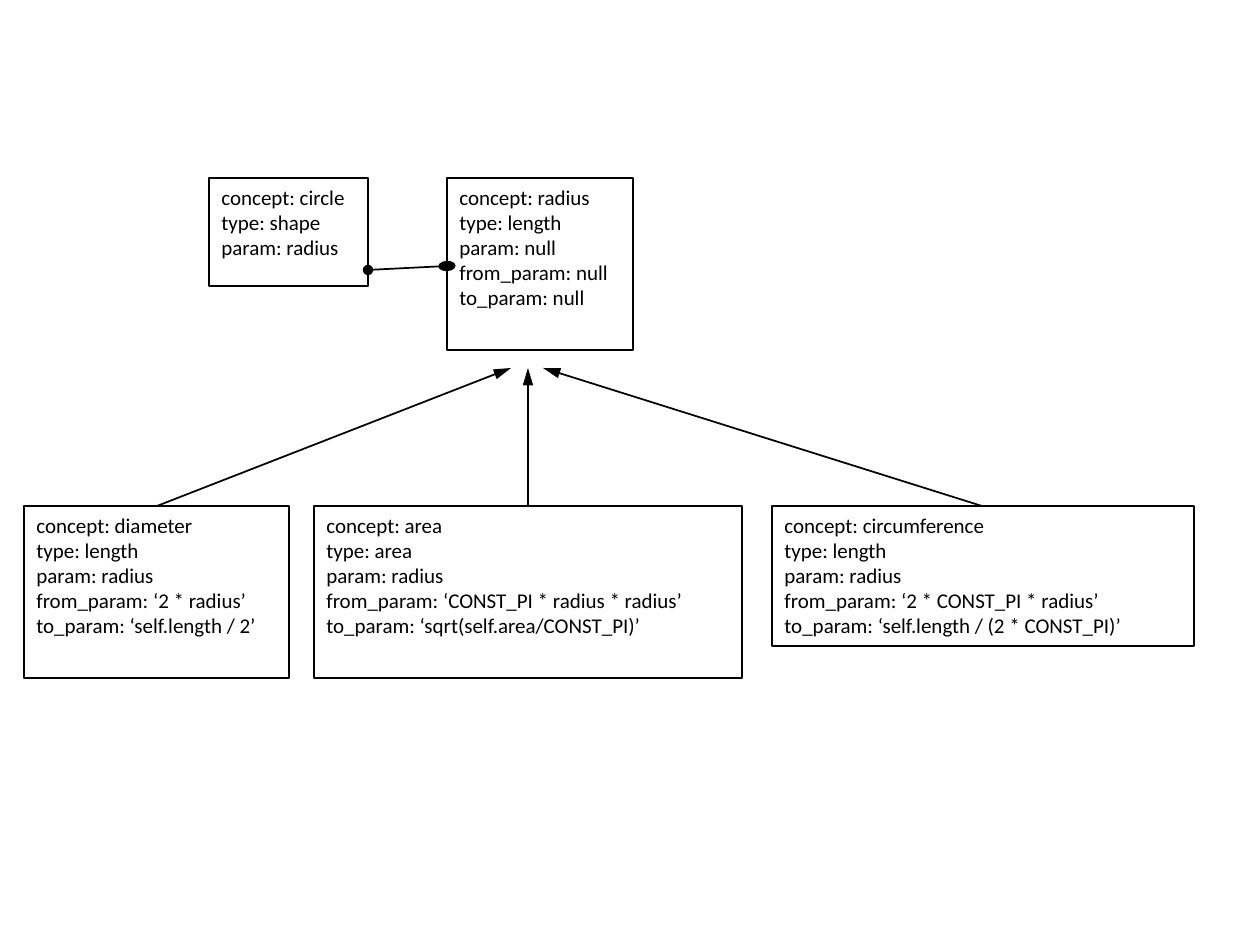
from lxml import etree
from pptx import Presentation
from pptx.dml.color import RGBColor
from pptx.enum.shapes import MSO_CONNECTOR, MSO_SHAPE
from pptx.enum.text import MSO_ANCHOR, PP_ALIGN
from pptx.oxml.ns import qn
from pptx.util import Emu, Inches, Pt

RECTANGLE = MSO_SHAPE.RECTANGLE
STRAIGHT = MSO_CONNECTOR.STRAIGHT
TOP = MSO_ANCHOR.TOP
LEFT = PP_ALIGN.LEFT

BLACK = RGBColor(0, 0, 0)
FONT = "Calibri"
EMU_PER_PX = 914400 / 126
FIELDS = ("concept", "type", "param", "from_param", "to_param")

# Each concept: left offset, width, height, field values
DERIVED_CONCEPTS = [
    (0, 265, 172, ("diameter", "length", "radius",
                   "‘2 * radius’", "‘self.length / 2’")),
    (290, 428, 172, ("area", "area", "radius",
                     "‘CONST_PI * radius * radius’",
                     "‘sqrt(self.area/CONST_PI)’")),
    (748, 422, 140, ("circumference", "length", "radius",
                     "‘2 * CONST_PI * radius’",
                     "‘self.length / (2 * CONST_PI)’")),
]
# Each arrow: start offset along the derived row, tip offset
ARROWS = [(133, 487), (504, 504), (958, 519)]


def px(length):
    return Emu(round(length * EMU_PER_PX))


def add_concept(slide, left, top, width, height, values):
    """Outlined box listing one field of the concept per line."""
    box = slide.shapes.add_shape(
        RECTANGLE, px(left), px(top), px(width), px(height))
    box.shadow.inherit = False
    box.fill.background()
    box.line.color.rgb = BLACK
    box.line.width = Pt(0.75)

    frame = box.text_frame
    frame.word_wrap = True
    frame.vertical_anchor = TOP
    frame.text = "\n".join(f"{field}: {value}"
                           for field, value in zip(FIELDS, values))
    for paragraph in frame.paragraphs:
        paragraph.alignment = LEFT
        font = paragraph.runs[0].font
        font.name = FONT
        font.size = Pt(12)
        font.color.rgb = BLACK


def add_link(slide, start, end, tail, head=None):
    """Straight line with an end mark, and a start mark if one is named."""
    link = slide.shapes.add_connector(
        STRAIGHT, *(px(value) for value in (*start, *end)))
    link.line.color.rgb = BLACK
    link.line.width = Pt(1)
    line = link.line._get_or_add_ln()
    if head:
        etree.SubElement(line, qn("a:headEnd"), type=head)
    etree.SubElement(line, qn("a:tailEnd"), type=tail, w="med", len="lg")
    etree.SubElement(link._element.spPr, qn("a:effectLst"))


def add_base_concepts(slide, left, top):
    """The circle, joined to the radius that it is defined by."""
    add_concept(slide, left, top, 159, 108, ("circle", "shape", "radius"))
    add_concept(slide, left + 238, top, 186, 172,
                ("radius", "length", "null", "null", "null"))
    add_link(slide, (left + 159, top + 92), (left + 238, top + 88),
             tail="oval", head="oval")


def add_derived_concepts(slide, left, top):
    """Concepts computed from the radius, with arrows up to it."""
    for offset, width, height, values in DERIVED_CONCEPTS:
        add_concept(slide, left + offset, top, width, height, values)
    for start, tip in ARROWS:
        add_link(slide, (left + start, top), (left + tip, top - 138),
                 tail="triangle")


def main():
    presentation = Presentation()
    presentation.slide_width = Inches(10)
    presentation.slide_height = Inches(7.5)
    slide = presentation.slides.add_slide(presentation.slide_layouts[6])
    add_base_concepts(slide, 209, 178)
    add_derived_concepts(slide, 24, 506)
    presentation.save("out.pptx")


if __name__ == "__main__":
    main()
